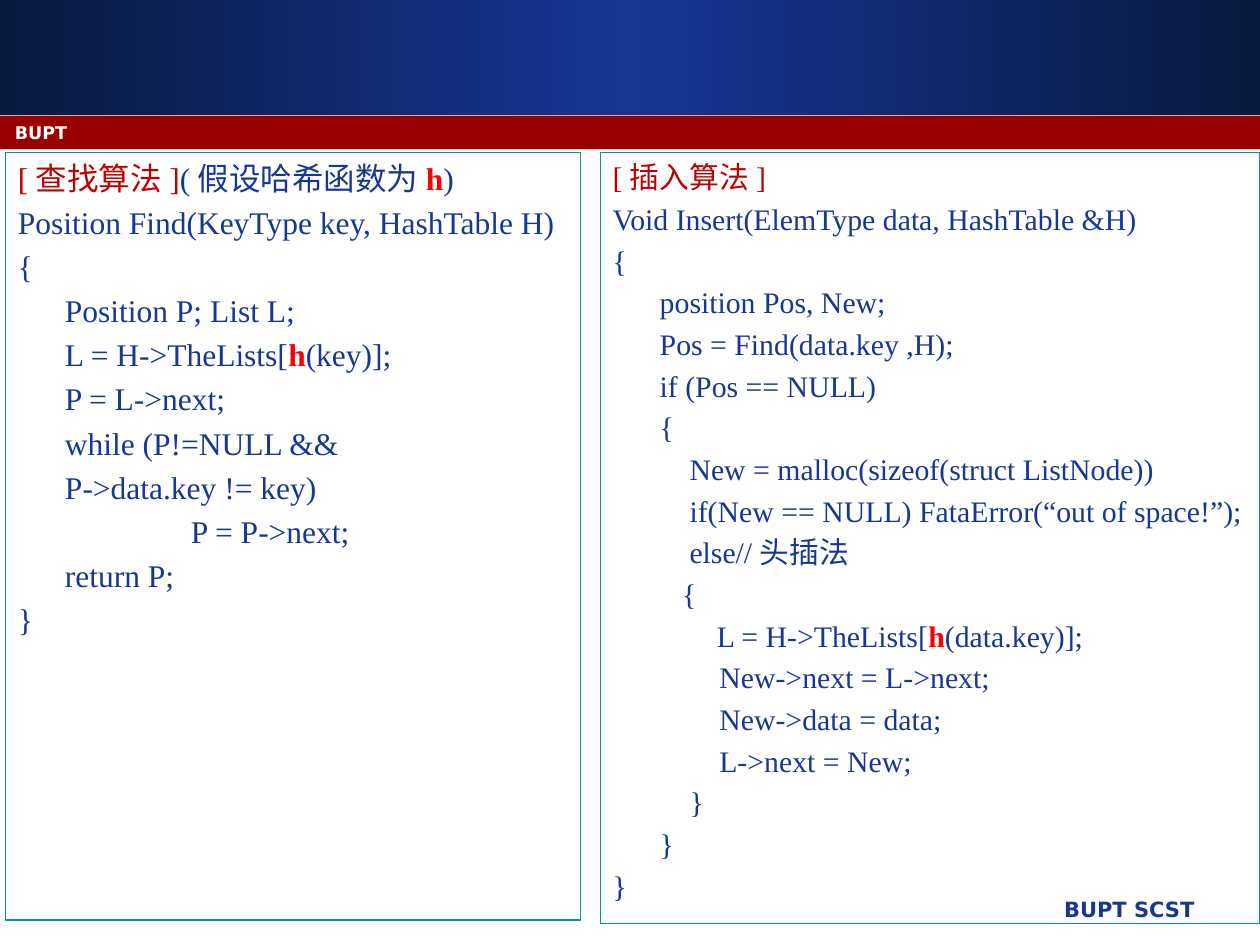
from pptx import Presentation
from pptx.dml.color import RGBColor
from pptx.enum.shapes import MSO_SHAPE as Shape
from pptx.enum.text import MSO_ANCHOR as Anchor, PP_ALIGN as Align
from pptx.util import Cm, Pt

NAVY, NIGHT, MAROON = "163794", "0A1940", "990000"
TEAL, CRIMSON, RED, WHITE = "009999", "C00000", "FF0000", "FFFFFF"
HASH = ("h", RED)


def colour(value):
    return RGBColor.from_string(value)


class SlideBuilder:
    code_font = "Times New Roman"
    label_font = "DejaVu Sans"
    indent = Cm(0.95)
    tab_size = Cm(2.54)

    def __init__(self, presentation):
        self.slide = presentation.slides.add_slide(presentation.slide_layouts[6])

    def rectangle(self, left, top, width, height):
        shape = self.slide.shapes.add_shape(
            Shape.RECTANGLE, Cm(left), Cm(top), Cm(width), Cm(height))
        shape.shadow.inherit = False
        shape.line.fill.background()
        return shape

    def band(self, top, height, fill):
        shape = self.rectangle(0, top, 25.4, height)
        shape.fill.solid()
        shape.fill.fore_color.rgb = colour(fill)

    def gradient_band(self, top, height, edge, middle):
        # Two halves mirror each other around the bright middle
        for left, ends in ((0, (edge, middle)), (12.7, (middle, edge))):
            shape = self.rectangle(left, top, 12.7, height)
            shape.fill.gradient()
            shape.fill.gradient_angle = 0
            for stop, value, position in zip(shape.fill.gradient_stops, ends, (0, 1)):
                stop.color.rgb = colour(value)
                stop.position = position

    def label(self, text, left, top, width, height, size, value, align=Align.LEFT):
        shape = self.slide.shapes.add_textbox(Cm(left), Cm(top), Cm(width), Cm(height))
        shape.text_frame.word_wrap = True
        shape.text_frame.text = text
        paragraph = shape.text_frame.paragraphs[0]
        paragraph.alignment = align
        self.format(paragraph.runs[0], self.label_font, size, value, True)

    def code_panel(self, lines, left, top, width, height, size):
        shape = self.rectangle(left, top, width, height)
        shape.fill.background()
        shape.line.color.rgb = colour(TEAL)
        shape.line.width = Pt(0.75)
        frame = shape.text_frame
        frame.word_wrap = True
        frame.vertical_anchor = Anchor.TOP
        for number, line in enumerate(lines):
            paragraph = frame.add_paragraph() if number else frame.paragraphs[0]
            paragraph.alignment = Align.LEFT
            if number:
                paragraph.space_before = Pt(size * 0.2)
                properties = paragraph._p.get_or_add_pPr()
                properties.set("marL", str(self.indent))
                properties.set("indent", str(-self.indent))
                properties.set("defTabSz", str(self.tab_size))
            for part in [line] if isinstance(line, str) else line:
                text, value = (part, NAVY) if isinstance(part, str) else part
                run = paragraph.add_run()
                run.text = text
                self.format(run, self.code_font, size, value, part == HASH)

    def format(self, run, font, size, value, bold):
        run.font.name = font
        run.font.size = Pt(size)
        run.font.bold = bold
        run.font.color.rgb = colour(value)


FIND_CODE = [
    [("[查找算法]", CRIMSON), "(假设哈希函数为", HASH, ")"],
    "Position Find(KeyType key, HashTable H)",
    "{",
    "\tPosition P; List L;",
    ["\tL = H->TheLists[", HASH, "(key)];"],
    "\tP = L->next;",
    "\twhile (P!=NULL &&",
    "      P->data.key != key)",
    "\t\tP = P->next;",
    "\treturn P;",
    "}",
]

INSERT_CODE = [
    [("[插入算法]", CRIMSON)],
    "Void Insert(ElemType data, HashTable &H)",
    "{",
    "\tposition Pos, New;",
    "\tPos = Find(data.key ,H);",
    "\tif (Pos == NULL)",
    "\t{",
    "\t    New = malloc(sizeof(struct ListNode))",
    "\t    if(New == NULL) FataError(“out of space!”);",
    "\t    else//头插法",
    "\t   {",
    ["              L = H->TheLists[", HASH, "(data.key)];"],
    "\t        New->next = L->next;",
    "\t        New->data = data;",
    "\t        L->next = New;",
    "\t    }",
    "\t}",
    "}",
]


def main():
    presentation = Presentation()
    presentation.slide_width, presentation.slide_height = Cm(25.4), Cm(19.05)
    builder = SlideBuilder(presentation)

    # Header bands
    builder.gradient_band(0, 2.33, NIGHT, NAVY)
    builder.band(2.33, 0.68, MAROON)

    # Search panel
    builder.code_panel(FIND_CODE, 0.11, 3.08, 11.6, 15.47, 18)

    # School labels
    builder.label("BUPT SCST", 10.69, 17.95, 13.64, 0.89, 12, NAVY, Align.RIGHT)
    builder.label("BUPT", 0.05, 2.33, 23.55, 0.64, 10, WHITE)

    # Insertion panel
    builder.code_panel(INSERT_CODE, 12.1, 3.08, 13.3, 15.54, 17)

    presentation.save("out.pptx")


if __name__ == "__main__":
    main()
